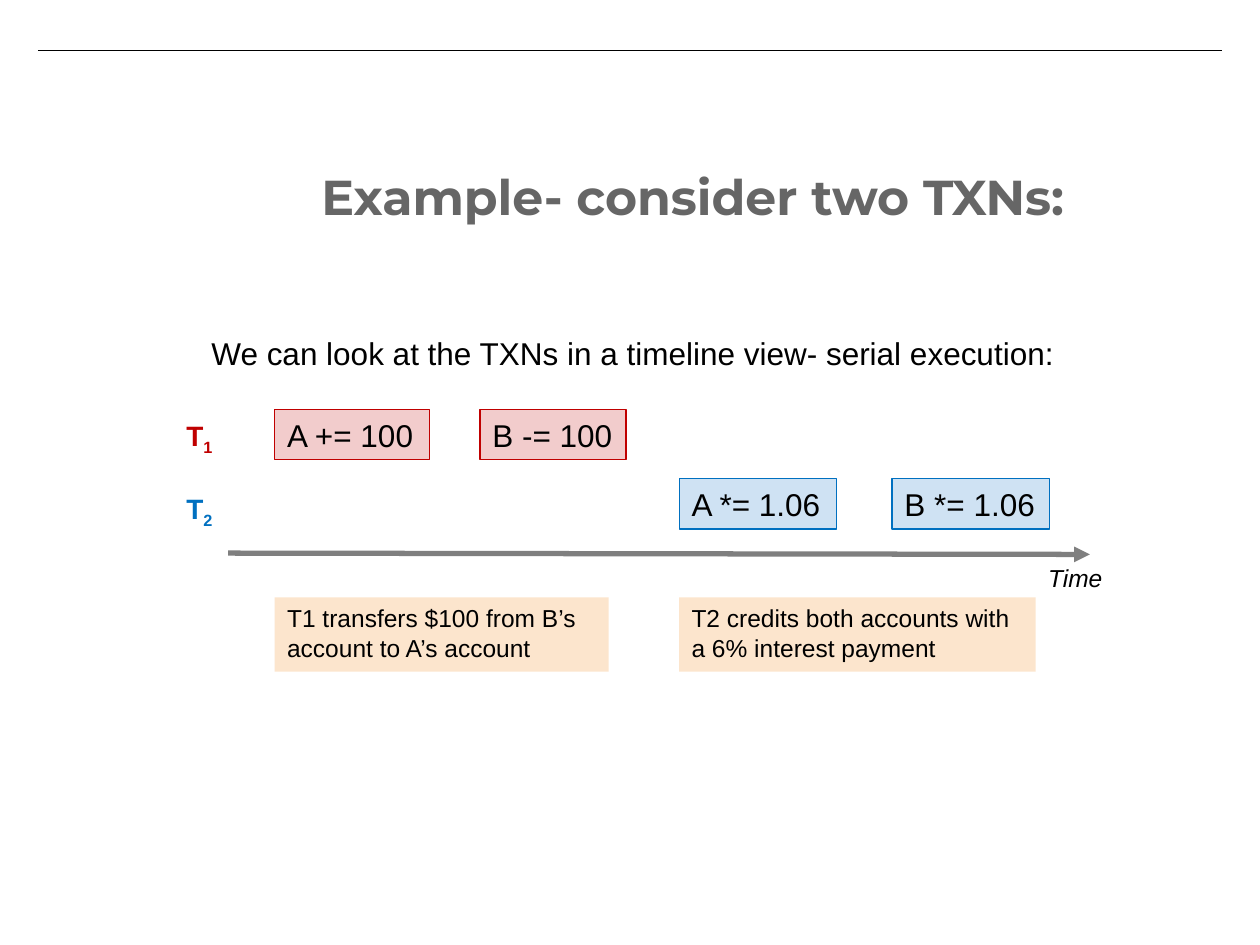
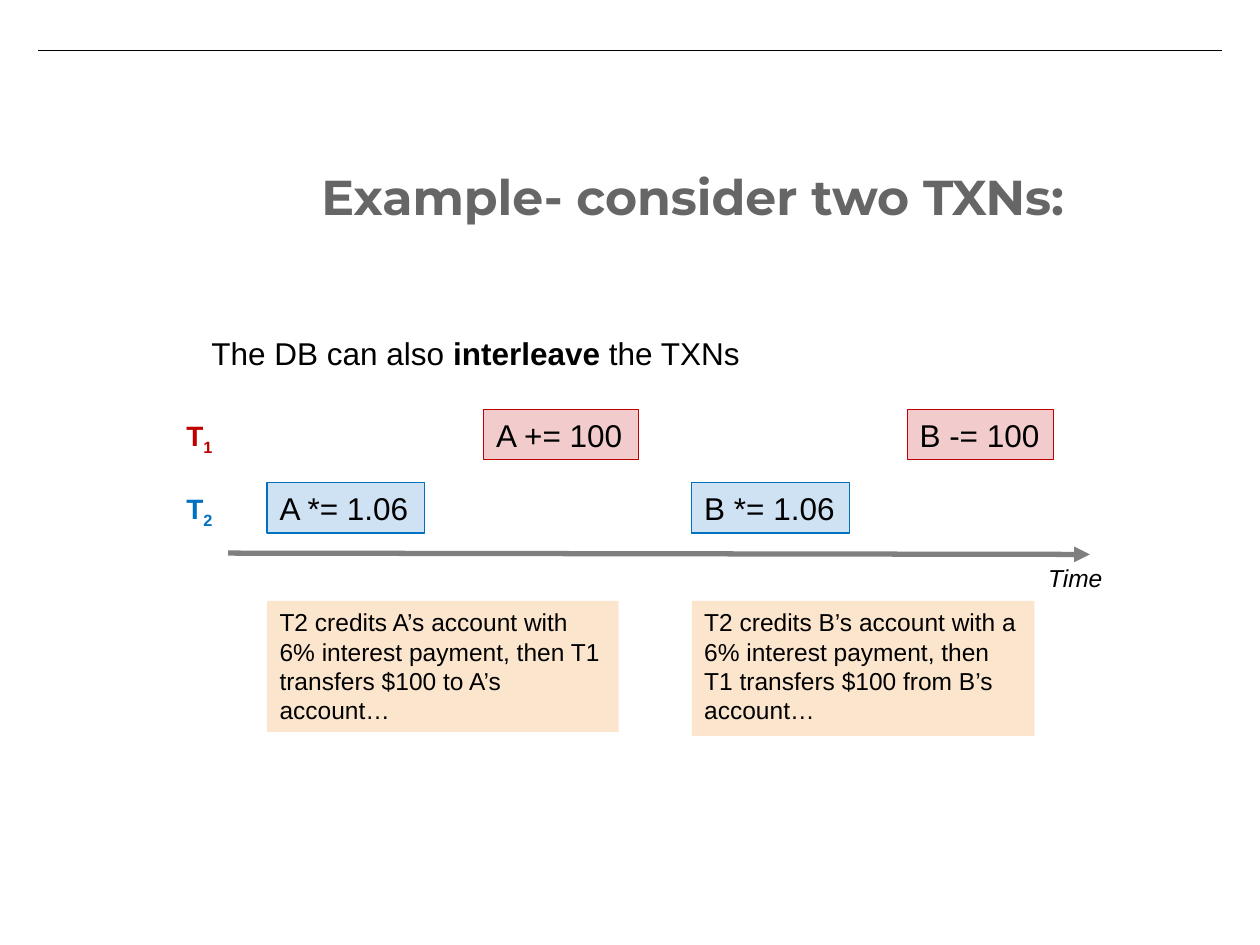
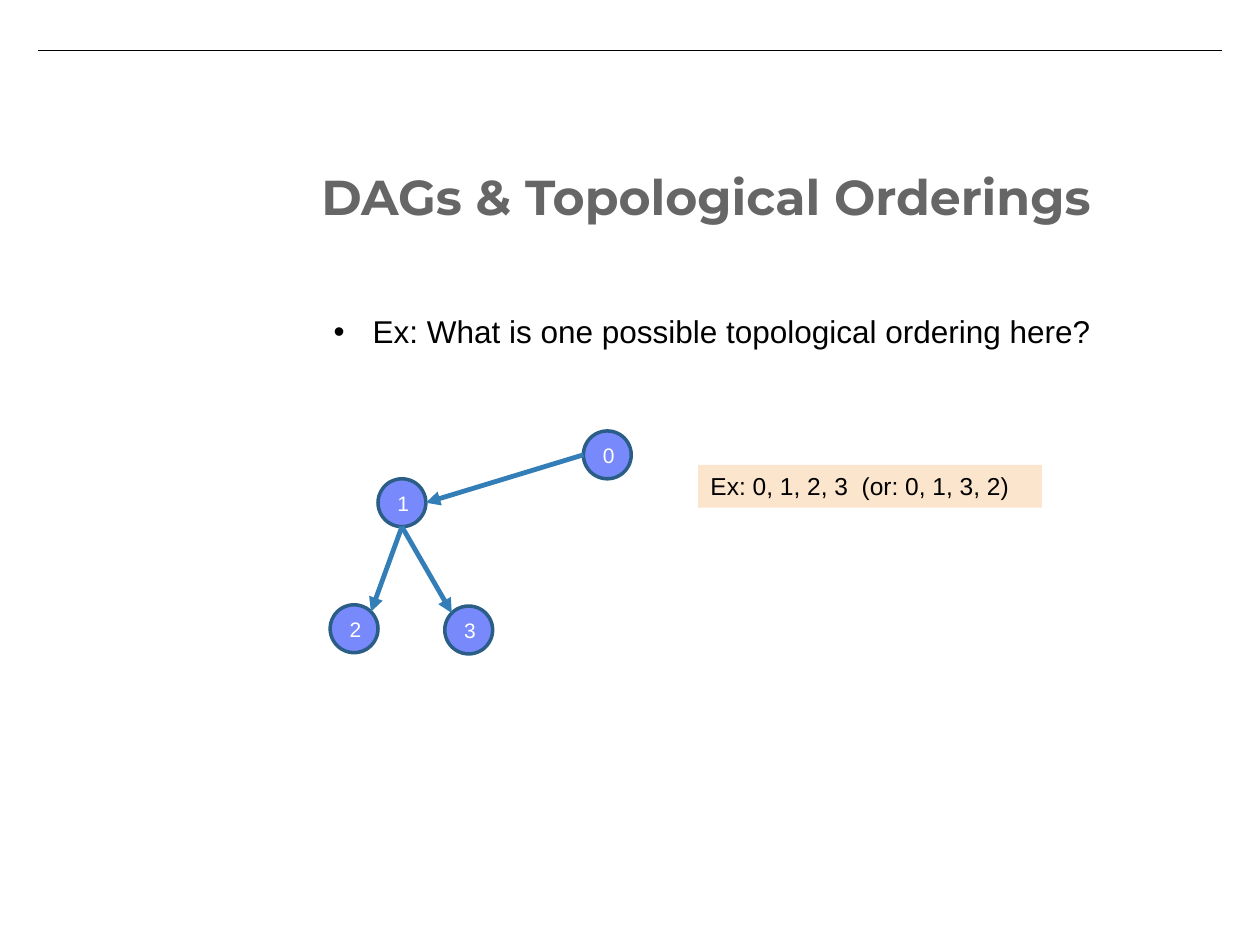
from math import cos, radians, sin

from lxml import etree
from pptx import Presentation
from pptx.dml.color import RGBColor
from pptx.enum.shapes import MSO_CONNECTOR, MSO_SHAPE
from pptx.enum.text import MSO_ANCHOR, MSO_AUTO_SIZE, PP_ALIGN
from pptx.oxml.ns import qn
from pptx.util import Inches, Pt

STRAIGHT = MSO_CONNECTOR.STRAIGHT
RECTANGLE, OVAL = MSO_SHAPE.RECTANGLE, MSO_SHAPE.OVAL
TOP, MIDDLE = MSO_ANCHOR.TOP, MSO_ANCHOR.MIDDLE
LEFT, CENTER = PP_ALIGN.LEFT, PP_ALIGN.CENTER
NO_AUTOFIT = MSO_AUTO_SIZE.NONE

BLACK = RGBColor(0x00, 0x00, 0x00)
WHITE = RGBColor(0xFF, 0xFF, 0xFF)
TITLE_GRAY = RGBColor(0x66, 0x66, 0x66)
AXIS_GRAY = RGBColor(0x7F, 0x7F, 0x7F)
RED = RGBColor(0xC0, 0x00, 0x00)
BLUE = RGBColor(0x00, 0x70, 0xC0)
PALE_BLUE = RGBColor(0xCF, 0xE2, 0xF3)
NOTE_FILL = RGBColor(0xFC, 0xE5, 0xCD)
NODE_FILL = RGBColor(0x78, 0x89, 0xFB)
NODE_LINE = RGBColor(0x2A, 0x5E, 0x87)
EDGE_BLUE = RGBColor(0x34, 0x7E, 0xB8)

TITLE_FONT, BODY_FONT = "Montserrat", "Arial"
TITLE_ONLY = 5
NODE_SIZE = 0.38
T1_TOP = 3.25


class Deck:
    def __init__(self):
        self.presentation = Presentation()
        self.presentation.slide_width = Inches(10)
        self.presentation.slide_height = Inches(7.5)
        self.slide = None

    def add_slide(self, title):
        layout = self.presentation.slide_layouts[TITLE_ONLY]
        self.slide = self.presentation.slides.add_slide(layout)
        self.line((0.3, 0.4), (9.7, 0.4), BLACK, 0.75)
        shape = self.slide.shapes.title
        shape.left, shape.top = Inches(2.45), Inches(1.22)
        shape.width, shape.height = Inches(7.31), Inches(1.27)
        self.fill_text(shape, [title], 28, TITLE_GRAY, font=TITLE_FONT, bold=True, inset=0.1)

    def fill_text(self, shape, parts, size, color=BLACK, font=BODY_FONT, bold=False,
                  italic=False, align=LEFT, anchor=TOP, wrap=True, inset=0.05):
        """Fill a shape with one paragraph of text parts and return the paragraph."""
        frame = shape.text_frame
        frame.auto_size = NO_AUTOFIT
        frame.word_wrap = wrap
        frame.vertical_anchor = anchor
        frame.margin_left = frame.margin_right = Inches(0.1)
        frame.margin_top = frame.margin_bottom = Inches(inset)
        paragraph = frame.paragraphs[0]
        paragraph.alignment = align
        for part in parts:
            run = paragraph.add_run()
            run.text = part
            run.font.name = font
            run.font.size = Pt(size)
            run.font.bold = bold
            run.font.italic = italic
            run.font.color.rgb = color
        return paragraph

    def text(self, left, top, width, height, parts, size, **style):
        box = self.slide.shapes.add_textbox(
            Inches(left), Inches(top), Inches(width), Inches(height))
        return self.fill_text(box, parts, size, **style)

    def shape(self, kind, left, top, width, height, fill, line=None, weight=0.75):
        shape = self.slide.shapes.add_shape(
            kind, Inches(left), Inches(top), Inches(width), Inches(height))
        shape.shadow.inherit = False
        shape.fill.solid()
        shape.fill.fore_color.rgb = fill
        if line is None:
            shape.line.fill.background()
        else:
            shape.line.color.rgb = line
            shape.line.width = Pt(weight)
        return shape

    def line(self, start, end, color, weight, arrow=False):
        points = [Inches(value) for value in (*start, *end)]
        connector = self.slide.shapes.add_connector(STRAIGHT, *points)
        connector.line.color.rgb = color
        connector.line.width = Pt(weight)
        properties = connector.element.spPr
        if arrow:
            etree.SubElement(properties.find(qn("a:ln")), qn("a:tailEnd"), type="triangle")
        etree.SubElement(properties, qn("a:effectLst"))

    def note(self, left, top, width, height, text):
        self.fill_text(self.shape(RECTANGLE, left, top, width, height, NOTE_FILL), [text], 14)

    def t1_operation(self, left, width, text):
        box = self.shape(RECTANGLE, left, T1_TOP, width, 0.4, RED, RED)
        color = box.element.spPr.find(qn("a:solidFill")).find(qn("a:srgbClr"))
        etree.SubElement(color, qn("a:alpha"), val="20000")
        self.fill_text(box, [text], 18, wrap=False)

    def t2_operation(self, left, top, text):
        box = self.shape(RECTANGLE, left, top, 1.25, 0.4, PALE_BLUE, BLUE)
        self.fill_text(box, [text], 18, wrap=False)

    def timeline(self, t1_lefts, t2_lefts, t2_top):
        """Draw the time axis, the row labels and both transactions' operations."""
        self.line((1.81, 4.39), (8.65, 4.4), AXIS_GRAY, 3, arrow=True)
        for number, top, color in (("1", 3.27, RED), ("2", 3.85, BLUE)):
            label = self.text(1.38, top, 0.42, 0.37, ["T", number], 16,
                              color=color, bold=True, wrap=False)
            label.runs[1].font._element.set("baseline", "-25000")
        for left, width, operation in zip(t1_lefts, (1.23, 1.16), ("A += 100", "B -= 100")):
            self.t1_operation(left, width, operation)
        for left, operation in zip(t2_lefts, ("A *= 1.06", "B *= 1.06")):
            self.t2_operation(left, t2_top, operation)
        self.text(8.22, 4.42, 0.64, 0.34, ["Time"], 14, italic=True, wrap=False)

    def bullet(self, left, top, width, height, text):
        paragraph = self.text(left, top, width, height, [text], 18)
        properties = paragraph._p.get_or_add_pPr()
        properties.set("marL", str(Inches(0.31)))
        properties.set("indent", str(-Inches(0.31)))
        etree.SubElement(properties, qn("a:buFont"), typeface=BODY_FONT)
        etree.SubElement(properties, qn("a:buChar"), char="•")

    def node(self, left, top, label):
        circle = self.shape(OVAL, left, top, NODE_SIZE, NODE_SIZE, NODE_FILL, NODE_LINE, 2)
        self.fill_text(circle, [label], 12, color=WHITE, align=CENTER, anchor=MIDDLE)


def rim_point(corner, degrees):
    """Return the point on a node's rim, with angles counted clockwise from the right."""
    radius = NODE_SIZE / 2
    left, top = corner
    angle = radians(degrees)
    return left + radius * (1 + cos(angle)), top + radius * (1 + sin(angle))


def add_serial_slide(deck):
    deck.add_slide("Example- consider two TXNs:")
    deck.note(2.18, 4.74, 2.65, 0.59, "T1 transfers $100 from B’s account to A’s account")
    deck.note(5.39, 4.74, 2.83, 0.59, "T2 credits both accounts with a 6% interest payment")
    deck.timeline(t1_lefts=(2.18, 3.81), t2_lefts=(5.39, 7.08), t2_top=3.8)
    deck.text(1.58, 2.6, 6.96, 0.4,
              ["We can look at the TXNs in a timeline view- serial execution:"], 18, wrap=False)


def add_interleaved_slide(deck):
    deck.add_slide("Example- consider two TXNs:")
    deck.timeline(t1_lefts=(3.84, 7.2), t2_lefts=(2.12, 5.49), t2_top=3.83)
    statement = deck.text(1.58, 2.6, 4.82, 0.4,
                          ["The DB can also ", "interleave", " the TXNs"], 18, wrap=False)
    statement.runs[1].font.bold = True
    deck.note(2.12, 4.77, 2.79, 1.04, "T2 credits A’s account with 6% interest payment, "
              "then T1 transfers $100 to A’s account…")
    deck.note(5.49, 4.77, 2.72, 1.07, "T2 credits B’s account with a 6% interest payment, "
              "then T1 transfers $100 from B’s account…")


def add_ordering_slide(deck):
    deck.add_slide("DAGs & Topological Orderings")
    deck.bullet(2.55, 2.43, 6.9, 3.57, "Ex: What is one possible topological ordering here?")
    nodes = {"1": (3, 3.8), "3": (3.53, 4.81), "2": (2.62, 4.8), "0": (4.63, 3.42)}
    for label, corner in nodes.items():
        deck.node(*corner, label)
    edges = (("0", 180, "1", 0), ("1", 90, "2", -45), ("1", 90, "3", -135))
    for source, source_angle, target, target_angle in edges:
        deck.line(rim_point(nodes[source], source_angle),
                  rim_point(nodes[target], target_angle), EDGE_BLUE, 2.75, arrow=True)
    deck.note(5.54, 3.69, 2.73, 0.34, "Ex: 0, 1, 2, 3  (or: 0, 1, 3, 2)")


def main():
    deck = Deck()
    add_serial_slide(deck)
    add_interleaved_slide(deck)
    add_ordering_slide(deck)
    deck.presentation.save("out.pptx")


if __name__ == "__main__":
    main()
